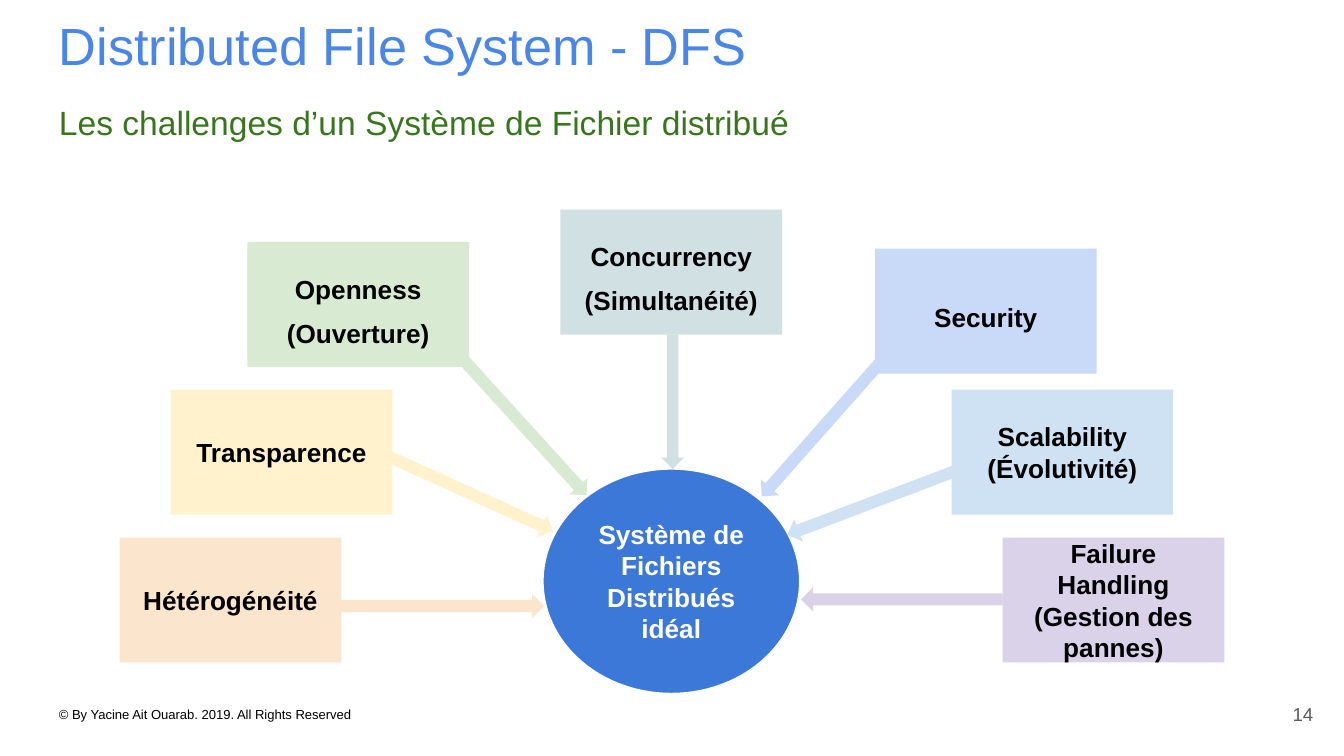
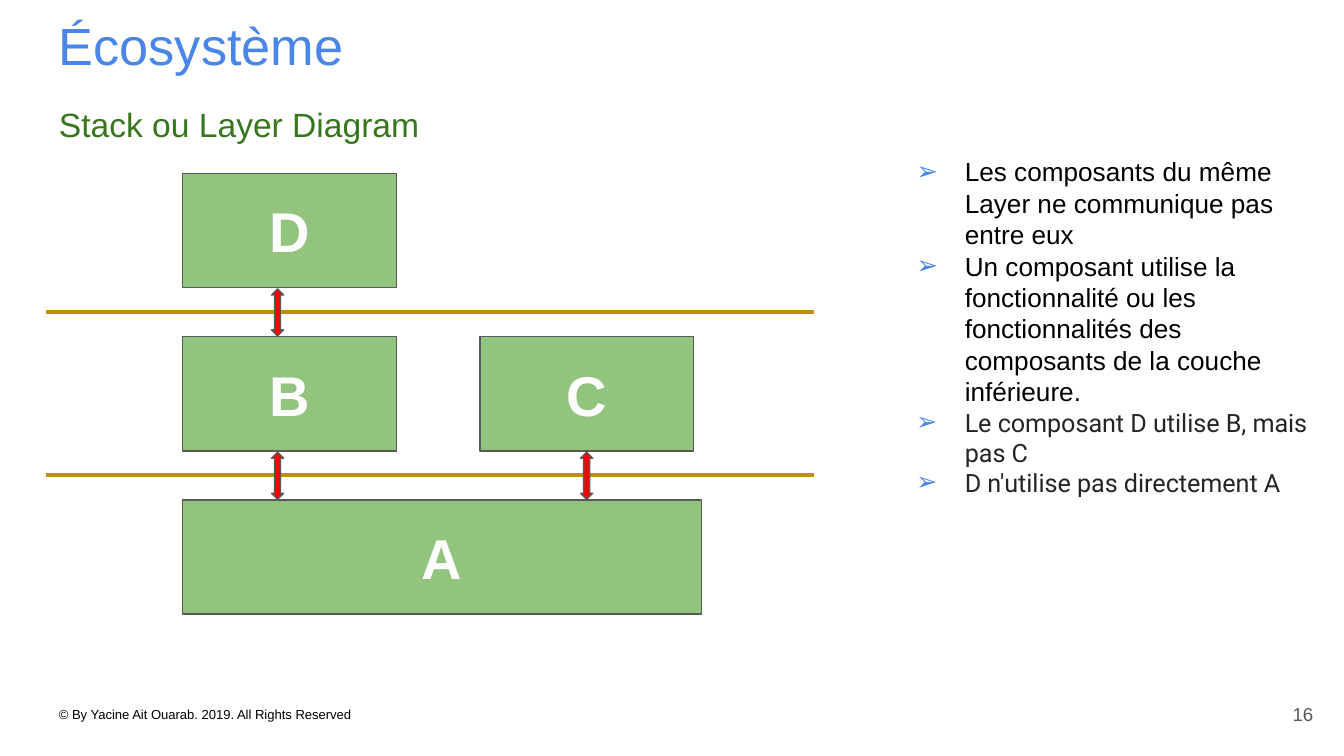
from lxml.etree import SubElement
from pptx import Presentation
from pptx.dml.color import RGBColor
from pptx.enum.shapes import MSO_CONNECTOR as Link, MSO_SHAPE as Shape
from pptx.enum.text import MSO_ANCHOR as Anchor, MSO_AUTO_SIZE as Fit, PP_ALIGN as Align
from pptx.oxml.ns import qn
from pptx.util import Inches, Pt

BLUE, GREEN, GREY = "4A86E8", "38761D", "595959"
BLACK, WHITE = "000000", "FFFFFF"
HUB, BLOCK, GOLD, RED = "3C78D8", "93C47D", "BF9000", "FF0000"


def color(hex_value):
    return RGBColor.from_string(hex_value)


class Deck:
    """Holds the shared style and the slide being built."""

    def __init__(self):
        self.prs = Presentation()
        self.prs.slide_width = Inches(10)
        self.prs.slide_height = Inches(10) * 9 // 16
        self.slide = None

    def new_slide(self, title, subtitle, number, subtitle_top, spacing=None):
        self.slide = self.prs.slides.add_slide(self.prs.slide_layouts[6])
        self.text("© By Yacine Ait Ouarab. 2019. All Rights Reserved", (0.34, 5.2, 9.32, 0.24), 7, BLACK,
                  fit=Fit.SHAPE_TO_FIT_TEXT)
        self.text(title, (0.34, 0, 9.32, 0.63), 28, BLUE)
        self.text(subtitle, (0.34, subtitle_top, 9.32, 4.47), 18, GREEN, spacing=spacing)
        self.text(number, (9.27, 5.1, 0.6, 0.43), 10, GREY, Align.RIGHT, Anchor.MIDDLE)

    def frame(self, shape, anchor):
        frame = shape.text_frame
        frame.word_wrap = True
        frame.vertical_anchor = anchor
        frame.margin_left = frame.margin_right = Inches(0.1)
        frame.margin_top = frame.margin_bottom = Inches(0.1)
        return frame

    def run(self, paragraph, text, size, hex_value, bold=False, font="Arial"):
        run = paragraph.add_run()
        run.text = text
        run.font.name, run.font.size, run.font.bold = font, Pt(size), bold
        run.font.color.rgb = color(hex_value)

    def text(self, text, box, size, hex_value, align=Align.LEFT, anchor=Anchor.TOP,
             spacing=None, fit=Fit.NONE):
        frame = self.frame(self.slide.shapes.add_textbox(*map(Inches, box)), anchor)
        frame.auto_size = fit
        paragraph = frame.paragraphs[0]
        paragraph.alignment, paragraph.line_spacing = align, spacing
        self.run(paragraph, text, size, hex_value)

    def shape(self, kind, box, fill, line=None, rotation=0):
        shape = self.slide.shapes.add_shape(kind, *map(Inches, box))
        shape.shadow.inherit = False
        shape.rotation = rotation
        shape.fill.solid()
        shape.fill.fore_color.rgb = color(fill)
        if line:
            shape.line.color.rgb = color(line)
            shape.line.width = Pt(0.75)
        else:
            shape.line.fill.background()
        return shape

    def label(self, shape, text, size, hex_value, airy=False):
        paragraph = self.frame(shape, Anchor.MIDDLE).paragraphs[0]
        paragraph.alignment = Align.CENTER
        if airy:
            paragraph.line_spacing, paragraph.space_after = 1.4, Pt(9)
        self.run(paragraph, text, size, hex_value, bold=True)

    def rule(self, left, right, y, hex_value):
        line = self.slide.shapes.add_connector(
            Link.STRAIGHT, Inches(left), Inches(y), Inches(right), Inches(y))
        line.line.color.rgb = color(hex_value)
        line.line.width = Pt(2.25)
        SubElement(line._element.spPr, qn("a:effectLst"))

    def bullets(self, items, box):
        frame = self.frame(self.slide.shapes.add_textbox(*map(Inches, box)), Anchor.TOP)
        for index, (text, size, hex_value, font) in enumerate(items):
            paragraph = frame.add_paragraph() if index else frame.paragraphs[0]
            props = paragraph._p.get_or_add_pPr()
            props.set("marL", str(Inches(0.5)))
            props.set("indent", str(Inches(-0.36)))
            SubElement(SubElement(props, qn("a:buClr")), qn("a:srgbClr"), val=BLUE)
            SubElement(props, qn("a:buFont"), typeface="Arial")
            SubElement(props, qn("a:buChar"), char="➢")
            self.run(paragraph, text, size, hex_value, font=font)

    def save(self):
        self.prs.save("out.pptx")


def challenges(deck):
    deck.new_slide("Distributed File System - DFS",
                   "Les challenges d’un Système de Fichier distribué", "14", 0.66)
    ideal = deck.shape(Shape.OVAL, (4.04, 3.49, 1.91, 1.67), HUB, WHITE)
    deck.label(ideal, "Système de Fichiers Distribués idéal", 14, WHITE)
    right, down = Shape.RIGHT_ARROW, Shape.DOWN_ARROW
    topics = [
        ("Hétérogénéité", 0.89, 4, "FCE5CD", False, right, (2.48, 4.42, 1.57, 0.18), 0),
        ("Transparence", 1.27, 2.9, "FFF2CC", False, right, (2.72, 3.56, 1.46, 0.18), 24.4),
        ("Openness (Ouverture)", 1.84, 1.8, "D9EAD3", True, right, (3.11, 3.04, 1.5, 0.18), 47.7),
        ("Concurrency (Simultanéité)", 4.17, 1.56, "D0E0E3", True, down, (4.92, 2.49, 0.17, 1), 0),
        ("Failure Handling (Gestion des pannes)", 7.46, 4, "D9D2E9", False, right, (5.96, 4.37, 1.5, 0.18), 180),
        ("Security", 6.51, 1.85, "C9DAF8", True, right, (5.41, 3.03, 1.53, 0.18), 131.5),
        ("Scalability (Évolutivité)", 7.08, 2.9, "CFE2F3", False, right, (5.81, 3.63, 1.46, 0.18), 159.2),
    ]
    for topic, left, top, fill, airy, arrow, arrow_box, angle in topics:
        challenge = deck.shape(Shape.RECTANGLE, (left, top, 1.65, 0.93), fill)
        deck.label(challenge, topic, 14, BLACK, airy)
        deck.shape(arrow, arrow_box, fill, rotation=angle)


def layers(deck):
    deck.new_slide("Écosystème", "Stack ou Layer Diagram", "16", 0.63, 1.15)
    first_top, last_top, near, far = 1.29, 3.72, 1.36, 3.57
    pitch = (last_top - first_top) / 2
    for name, left, layer, width in [("A", near, 2, 3.86), ("C", far, 1, 1.59),
                                     ("B", near, 1, 1.59), ("D", near, 0, 1.59)]:
        component = deck.shape(Shape.RECTANGLE, (left, first_top + layer * pitch, width, 0.85), BLOCK, GREY)
        deck.label(component, name, 30, WHITE)
    for boundary in range(2):
        deck.rule(0.34, 6.06, 2.32 + boundary * pitch, GOLD)
    for left, boundary in [(2.02, 1), (4.32, 1), (2.02, 0)]:
        deck.shape(Shape.UP_DOWN_ARROW, (left, 2.15 + boundary * pitch, 0.09, 0.35), RED, GREY)
    main_style, detail_style = (14, BLACK, "Arial"), (13.5, "252525", "Roboto")
    deck.bullets([
        ("Les composants du même Layer ne communique pas entre eux", *main_style),
        ("Un composant utilise la fonctionnalité ou les fonctionnalités "
         "des composants de la couche inférieure.", *main_style),
        ("Le composant D utilise B, mais pas C", *detail_style),
        ("D n'utilise pas directement A", *detail_style),
    ], (6.58, 1.06, 3.32, 3.54))


def main():
    deck = Deck()
    challenges(deck)
    layers(deck)
    deck.save()


if __name__ == "__main__":
    main()
